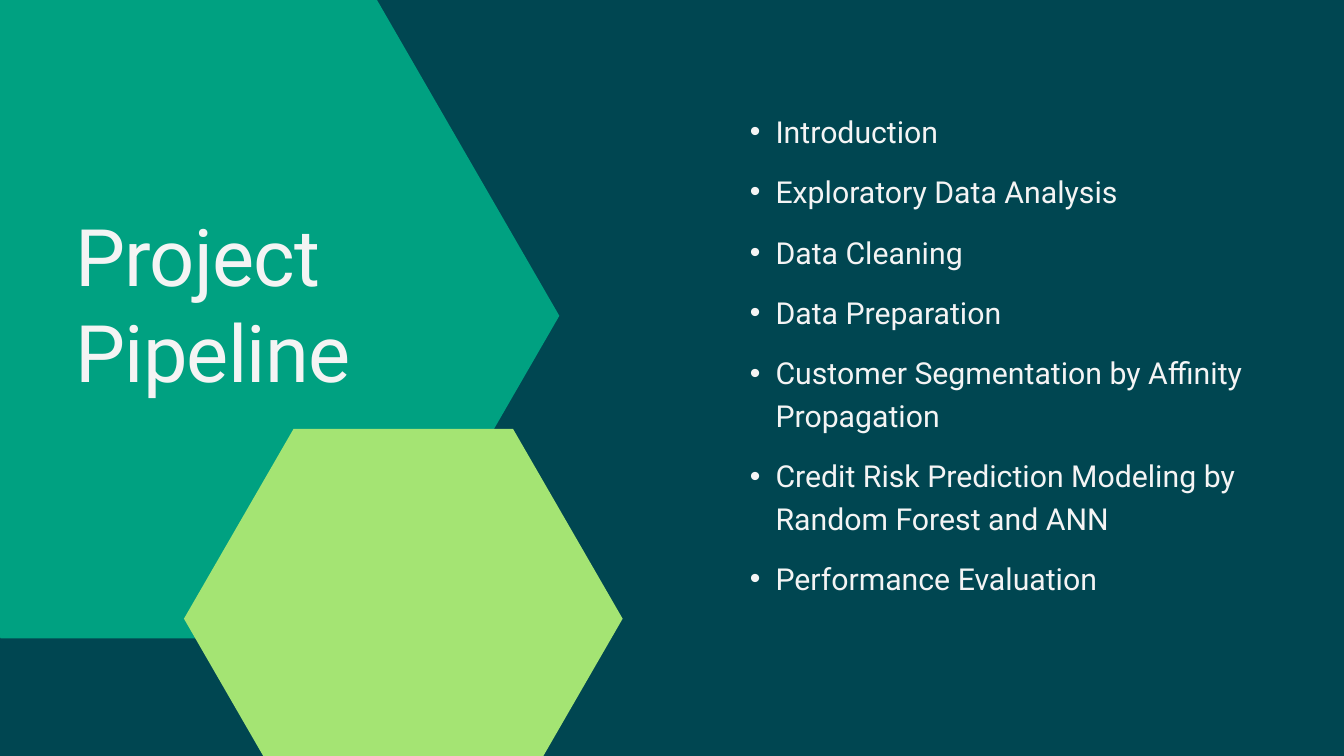
from lxml import etree
from pptx import Presentation
from pptx import util as u
from pptx.dml import color
from pptx.enum import shapes, text
from pptx.oxml import ns

COLORS = {"back": "004651", "teal": "00A181", "lime": "A4E473", "text": "F4F4F4"}
TOPICS = [
    "Introduction",
    "Exploratory Data Analysis",
    "Data Cleaning",
    "Data Preparation",
    "Customer Segmentation by Affinity Propagation",
    "Credit Risk Prediction Modeling by Random Forest and ANN",
    "Performance Evaluation",
]


class SlideBuilder:
    font = "Roboto"

    def __init__(self, deck):
        self.slide = deck.slides.add_slide(deck.slide_layouts[5])
        self.paint(self.slide.background.fill, "back")

    def paint(self, fill, name):
        fill.solid()
        fill.fore_color.rgb = color.RGBColor.from_string(COLORS[name])

    def hexagon(self, left, top, width, height, name):
        shape = self.slide.shapes.add_shape(
            shapes.MSO_SHAPE.HEXAGON, *map(u.Pt, (left, top, width, height)))
        shape.adjustments[0] = width / height / 4
        shape.shadow.inherit = False
        self.paint(shape.fill, name)
        shape.line.fill.background()

    def frame(self, box):
        frame = box.text_frame
        frame.word_wrap = True
        frame.auto_size = text.MSO_AUTO_SIZE.NONE
        frame.vertical_anchor = text.MSO_ANCHOR.TOP
        frame.margin_left = frame.margin_right = 0
        frame.margin_top = frame.margin_bottom = 0
        return frame

    def add_span(self, para, words, size, leading):
        para.alignment = text.PP_ALIGN.LEFT
        para.line_spacing = u.Pt(leading)
        span = para.add_run()
        span.text = words
        span.font.name = self.font
        span.font.size = u.Pt(size)
        span.font.color.rgb = color.RGBColor.from_string(COLORS["text"])
        return span

    def title(self, words, left, top, width, height):
        box = self.slide.shapes.title
        box.left, box.top = u.Pt(left), u.Pt(top)
        box.width, box.height = u.Pt(width), u.Pt(height)
        span = self.add_span(self.frame(box).paragraphs[0], words, 85, 102)
        span._r.get_or_add_rPr().set("spc", "-80")
        self.slide.shapes._spTree.append(box._element)

    def bullets(self, items, left, top, width, height):
        box = self.slide.shapes.add_textbox(*map(u.Pt, (left, top, width, height)))
        frame = self.frame(box)
        for index, item in enumerate(items):
            para = frame.add_paragraph() if index else frame.paragraphs[0]
            self.add_span(para, item, 32.4, 45.3)
            para.space_before = u.Pt(19.5 if index else 0)
            props = para._p.get_or_add_pPr()
            props.set("marL", str(u.Pt(54.7)))
            props.set("indent", str(u.Pt(-27.4)))
            etree.SubElement(props, ns.qn("a:buFont"), typeface="Arial")
            etree.SubElement(props, ns.qn("a:buChar"), char="•")


def main():
    deck = Presentation()
    deck.slide_width, deck.slide_height = u.Pt(1440), u.Pt(810)
    page = SlideBuilder(deck)
    page.hexagon(-198.7, -7.2, 798, 691.2, "teal")
    page.hexagon(197.1, 459.4, 470, 407, "lime")
    page.title("Project Pipeline", 80.6, 222.5, 351.4, 202.3)
    page.bullets(TOPICS, 776.2, 114.5, 555.8, 523)
    deck.save("out.pptx")


if __name__ == "__main__":
    main()
